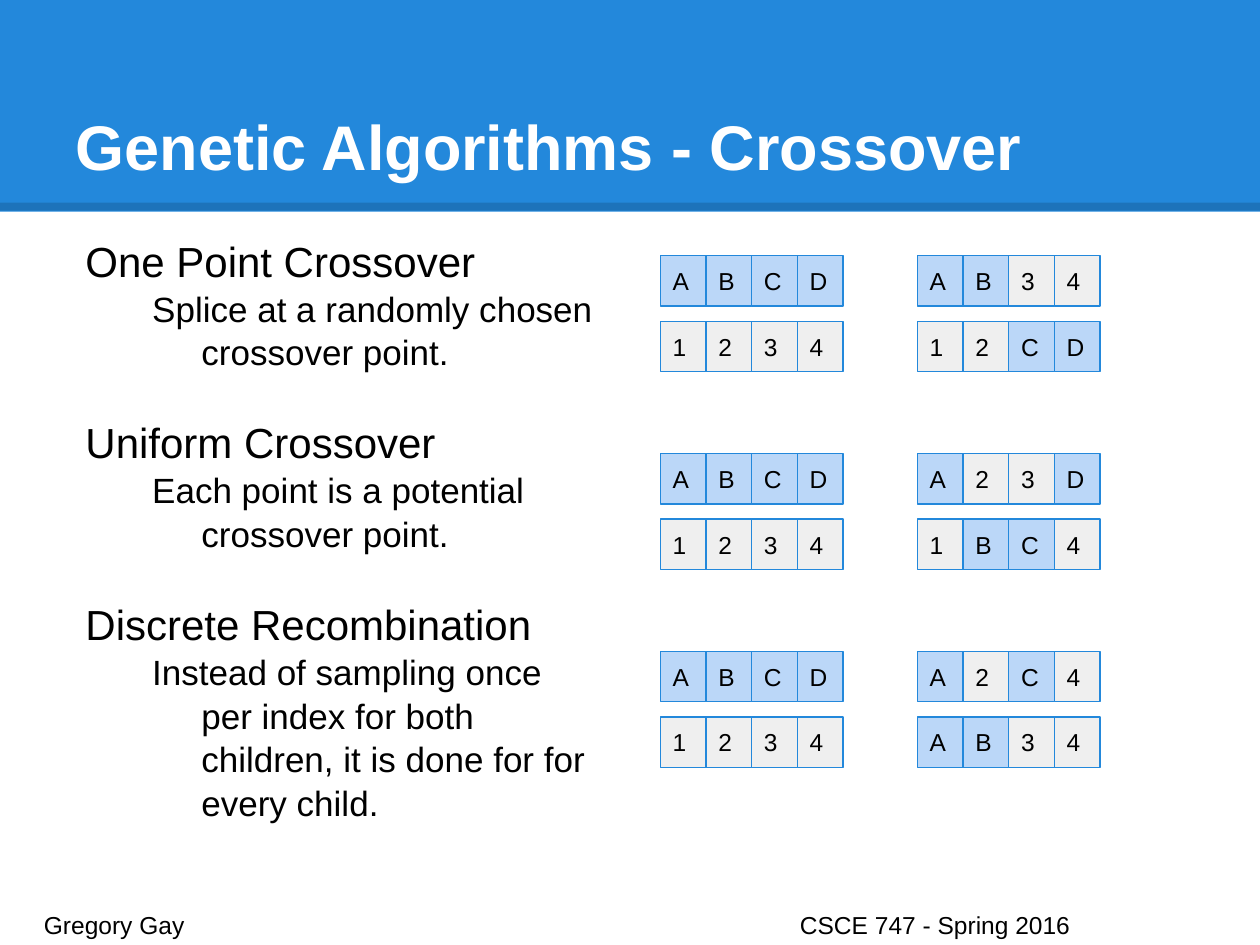
from lxml import etree
from pptx import Presentation
from pptx.dml.color import RGBColor
from pptx.enum.shapes import MSO_CONNECTOR, MSO_SHAPE
from pptx.enum.text import MSO_ANCHOR, PP_ALIGN
from pptx.oxml.ns import qn
from pptx.util import Inches, Pt

RECTANGLE = MSO_SHAPE.RECTANGLE
STRAIGHT = MSO_CONNECTOR.STRAIGHT
TOP, MIDDLE, BOTTOM = MSO_ANCHOR.TOP, MSO_ANCHOR.MIDDLE, MSO_ANCHOR.BOTTOM
LEFT = PP_ALIGN.LEFT

FONT = "Arial"
COLORS = {
    "blue": "2388DB",
    "letter": "BBD7F8",
    "digit": "EFEFEF",
    "black": "000000",
    "white": "FFFFFF",
}

TOPICS = [
    ("One Point Crossover", "Splice at a randomly chosen crossover point."),
    ("Uniform Crossover", "Each point is a potential crossover point."),
    ("Discrete Recombination",
     "Instead of sampling once per index for both children, "
     "it is done for for every child."),
]
PARENTS = ("ABCD", "1234")
CHILDREN = [("AB34", "12CD"), ("A23D", "1BC4"), ("A2C4", "AB34")]

PARENT_LEFT, CHILD_LEFT = 5.24, 7.28
FIRST_TOP, TOPIC_STEP, ROW_STEP = 2.03, 1.57, 0.52
STRAND_WIDTH, CELL_HEIGHT = 1.45, 0.4


def color(name):
    return RGBColor.from_string(COLORS[name])


def style_paragraph(para, size, ink="black", bold=False):
    para.alignment = LEFT
    para.font.name = FONT
    para.font.size = Pt(size)
    para.font.bold = bold
    para.font.color.rgb = color(ink)


def set_frame(frame, anchor):
    frame.word_wrap = True
    frame.vertical_anchor = anchor
    frame.margin_left = frame.margin_right = Inches(0.1)
    frame.margin_top = frame.margin_bottom = Inches(0.1)


def add_rectangle(page, left, top, width, height, fill):
    box = page.shapes.add_shape(
        RECTANGLE, Inches(left), Inches(top), Inches(width), Inches(height))
    box.shadow.inherit = False
    box.fill.solid()
    box.fill.fore_color.rgb = color(fill)
    box.line.fill.background()
    return box


def add_header(page):
    add_rectangle(page, 0, 0, 10, 1.68, "blue")
    rule = page.shapes.add_connector(
        STRAIGHT, Inches(0), Inches(1.64), Inches(10), Inches(1.64))
    rule.line.width = Pt(4.5)
    rule.line.color.rgb = color("black")
    properties = rule._element.spPr
    ink = properties.find(".//" + qn("a:srgbClr"))
    etree.SubElement(ink, qn("a:alpha"), val="15000")
    etree.SubElement(properties, qn("a:effectLst"))


def add_title(page, text):
    title = page.shapes.title
    title.left, title.top = Inches(0.5), Inches(0.3)
    title.width, title.height = Inches(9), Inches(1.25)
    title.text_frame.text = text
    set_frame(title.text_frame, BOTTOM)
    style_paragraph(title.text_frame.paragraphs[0], 36, "white", True)
    page.shapes._spTree.append(title._element)


def add_text_box(page, left, top, width, height):
    box = page.shapes.add_textbox(
        Inches(left), Inches(top), Inches(width), Inches(height))
    set_frame(box.text_frame, TOP)
    return box.text_frame


def add_footer(page, author, course):
    para = add_text_box(page, 0.25, 7.12, 9.51, 0.3).paragraphs[0]
    para.text = f"{author}\t{course}"
    tabs = etree.SubElement(para._p.get_or_add_pPr(), qn("a:tabLst"))
    etree.SubElement(tabs, qn("a:tab"), pos=str(Inches(6)), algn="l")
    style_paragraph(para, 14)


def write_topic_line(para, text, level, size, margin, indent):
    para.text = text
    para.level = level
    para.line_spacing = 1.04
    properties = para._p.get_or_add_pPr()
    properties.set("marL", str(Inches(margin)))
    properties.set("indent", str(Inches(indent)))
    style_paragraph(para, size)


def add_topics(page):
    frame = add_text_box(page, 0.5, 1.75, 4.37, 5.43)
    for index, (heading, detail) in enumerate(TOPICS):
        para = frame.add_paragraph() if index else frame.paragraphs[0]
        write_topic_line(para, heading, 0, 24, 0.5, -0.42)
        if index:
            para.space_before = Pt(24)
        write_topic_line(frame.add_paragraph(), detail, 1, 20, 1, -0.39)


def add_strand(page, left, top, genes):
    width = STRAND_WIDTH / len(genes)
    for column, gene in enumerate(genes):
        fill = "letter" if gene.isalpha() else "digit"
        cell = add_rectangle(
            page, left + column * width, top, width, CELL_HEIGHT, fill)
        cell.line.color.rgb = color("blue")
        cell.line.width = Pt(0.75)
        set_frame(cell.text_frame, MIDDLE)
        para = cell.text_frame.paragraphs[0]
        para.text = gene
        style_paragraph(para, 14)


def add_crossovers(page):
    for topic, children in enumerate(CHILDREN):
        for row, (parent, child) in enumerate(zip(PARENTS, children)):
            top = FIRST_TOP + topic * TOPIC_STEP + row * ROW_STEP
            add_strand(page, PARENT_LEFT, top, parent)
            add_strand(page, CHILD_LEFT, top, child)


def main():
    deck = Presentation()
    deck.slide_width, deck.slide_height = Inches(10), Inches(7.5)
    page = deck.slides.add_slide(deck.slide_layouts[5])
    add_header(page)
    add_title(page, "Genetic Algorithms - Crossover")
    add_footer(page, "Gregory Gay", "CSCE 747 - Spring 2016")
    add_topics(page)
    add_crossovers(page)
    deck.save("out.pptx")


if __name__ == "__main__":
    main()
